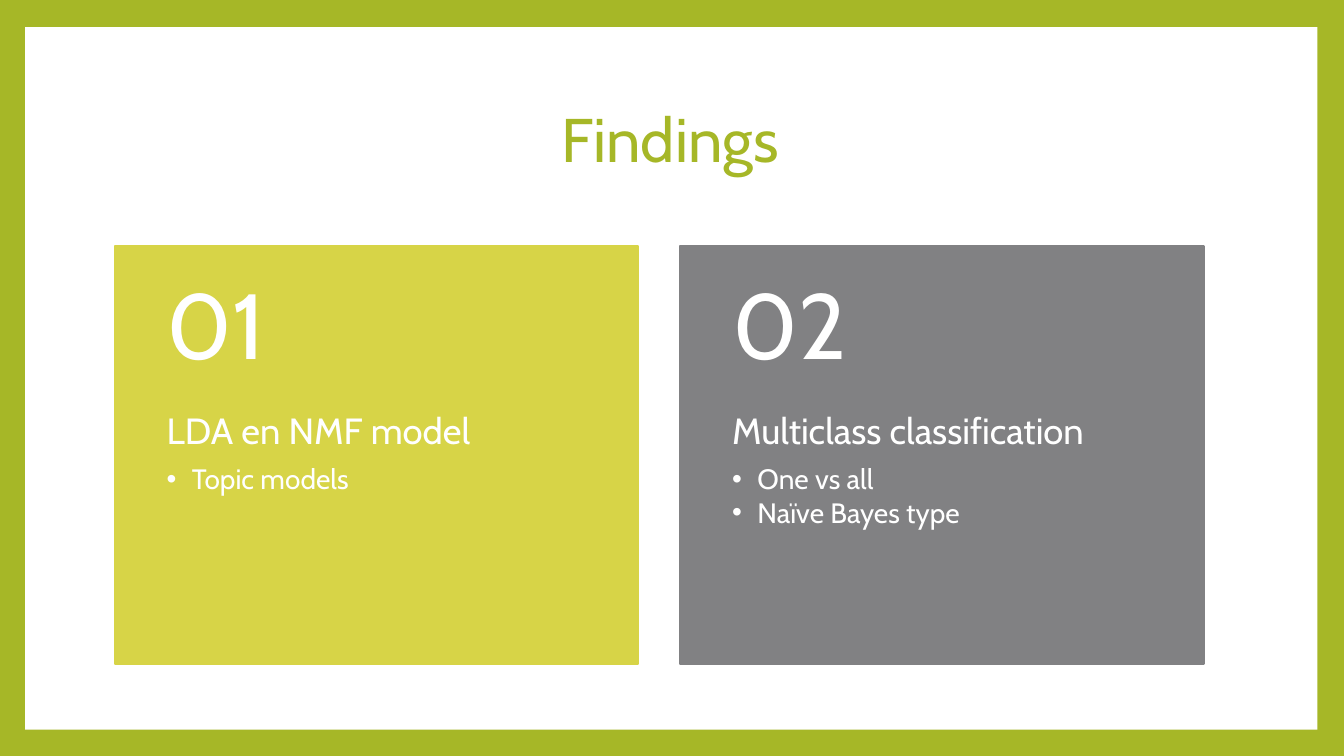
"""Build the Findings slide: two numbered panels inside a green frame."""
from lxml.etree import SubElement
from pptx import Presentation
from pptx.dml.color import RGBColor
from pptx.enum.shapes import MSO_SHAPE as Preset
from pptx.enum.text import MSO_ANCHOR as Anchor, MSO_AUTO_SIZE as AutoSize, PP_ALIGN as Align
from pptx.oxml.ns import qn
from pptx.util import Pt

GREEN, WHITE = "A6B727", "FFFFFF"
PANEL_LEFT, PANEL_TOP, PANEL_WIDTH, PANEL_HEIGHT = 82, 175.7, 373.7, 298.8
PANEL_STEP, NUMBER_HEIGHT, SIDE_INSET, BULLET_INDENT = 404, 119.5, 37, 18
PANELS = [
    ("01", "D7D447", "LDA en NMF model", ["Topic models"]),
    ("02", "818183", "Multiclass classification", ["One vs all", "Naïve Bayes type"]),
]


def paint(color_format, color):
    """Set a fill, line fill or background fill to a solid hex colour."""
    color_format.solid()
    color_format.fore_color.rgb = RGBColor.from_string(color)


def format_paragraph(paragraph, size, color, space_after=0, align=Align.LEFT):
    """Apply the slide's font and spacing to a paragraph."""
    paragraph.alignment = align
    paragraph.line_spacing = 0.9
    paragraph.space_before = Pt(0)
    paragraph.space_after = Pt(space_after)
    for run in paragraph.runs:
        run.font.name = "Cabin"
        run.font.size = Pt(size)
        paint(run.font.fill, color)


presentation = Presentation()
presentation.slide_width, presentation.slide_height = Pt(960), Pt(540)
slide = presentation.slides.add_slide(presentation.slide_layouts[3])
paint(slide.background.fill, GREEN)

title, *bodies = slide.placeholders
title.left, title.top, title.width, title.height = Pt(90), Pt(48.2), Pt(777.6), Pt(106.6)
title.text_frame.text = "Findings"
title.text_frame.vertical_anchor = Anchor.MIDDLE
title.text_frame.auto_size = AutoSize.NONE
format_paragraph(title.text_frame.paragraphs[0], 44, GREEN, align=Align.CENTER)

page = slide.shapes.add_shape(Preset.RECTANGLE, Pt(18), Pt(19.4), Pt(923), Pt(501.8))
page.shadow.inherit = False
paint(page.fill, WHITE)
page.line.fill.background()
title.element.addprevious(page.element)

for index, (body, (number, color, heading, items)) in enumerate(zip(bodies, PANELS)):
    left = Pt(PANEL_LEFT + index * PANEL_STEP)

    panel = slide.shapes.add_shape(
        Preset.RECTANGLE, left, Pt(PANEL_TOP), Pt(PANEL_WIDTH), Pt(PANEL_HEIGHT))
    panel.shadow.inherit = False
    paint(panel.fill, color)
    paint(panel.line.fill, color)
    panel.line.width = Pt(1.5)
    body.element.addprevious(panel.element)

    body.left, body.top = left, Pt(PANEL_TOP + NUMBER_HEIGHT)
    body.width, body.height = Pt(PANEL_WIDTH), Pt(PANEL_HEIGHT - NUMBER_HEIGHT)
    body.text_frame.text = "\n".join([heading, *items])
    body.text_frame.vertical_anchor = Anchor.TOP

    number_box = slide.shapes.add_textbox(
        left, Pt(PANEL_TOP), Pt(PANEL_WIDTH), Pt(NUMBER_HEIGHT))
    number_box.text_frame.text = number
    number_box.text_frame.vertical_anchor = Anchor.MIDDLE
    format_paragraph(number_box.text_frame.paragraphs[0], 66, WHITE, 23)

    for shape, top_inset, bottom_inset in ((body, 0, 26), (number_box, 13, 13)):
        frame = shape.text_frame
        frame.word_wrap = True
        frame.auto_size = AutoSize.NONE
        frame.margin_left = frame.margin_right = Pt(SIDE_INSET)
        frame.margin_top, frame.margin_bottom = Pt(top_inset), Pt(bottom_inset)

    heading_paragraph, *item_paragraphs = body.text_frame.paragraphs
    format_paragraph(heading_paragraph, 26, WHITE, 9)
    properties = heading_paragraph._p.get_or_add_pPr()
    properties.set("marL", "0")
    properties.set("indent", "0")
    SubElement(properties, qn("a:buNone"))

    for paragraph in item_paragraphs:
        paragraph.level = 1
        format_paragraph(paragraph, 20, WHITE, 2.5)
        properties = paragraph._p.get_or_add_pPr()
        properties.set("marL", str(Pt(BULLET_INDENT)))
        properties.set("indent", str(-Pt(BULLET_INDENT)))
        SubElement(properties, qn("a:buChar"), char="•")

presentation.save("out.pptx")
